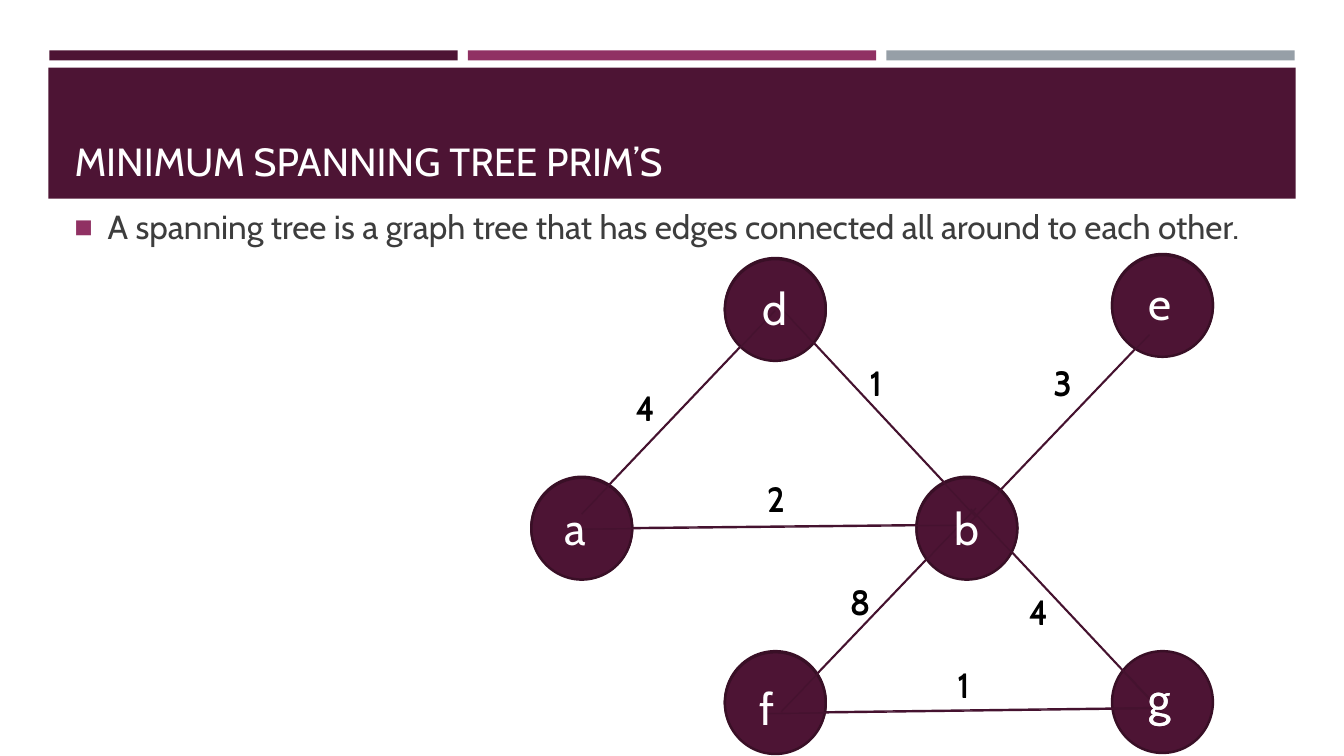
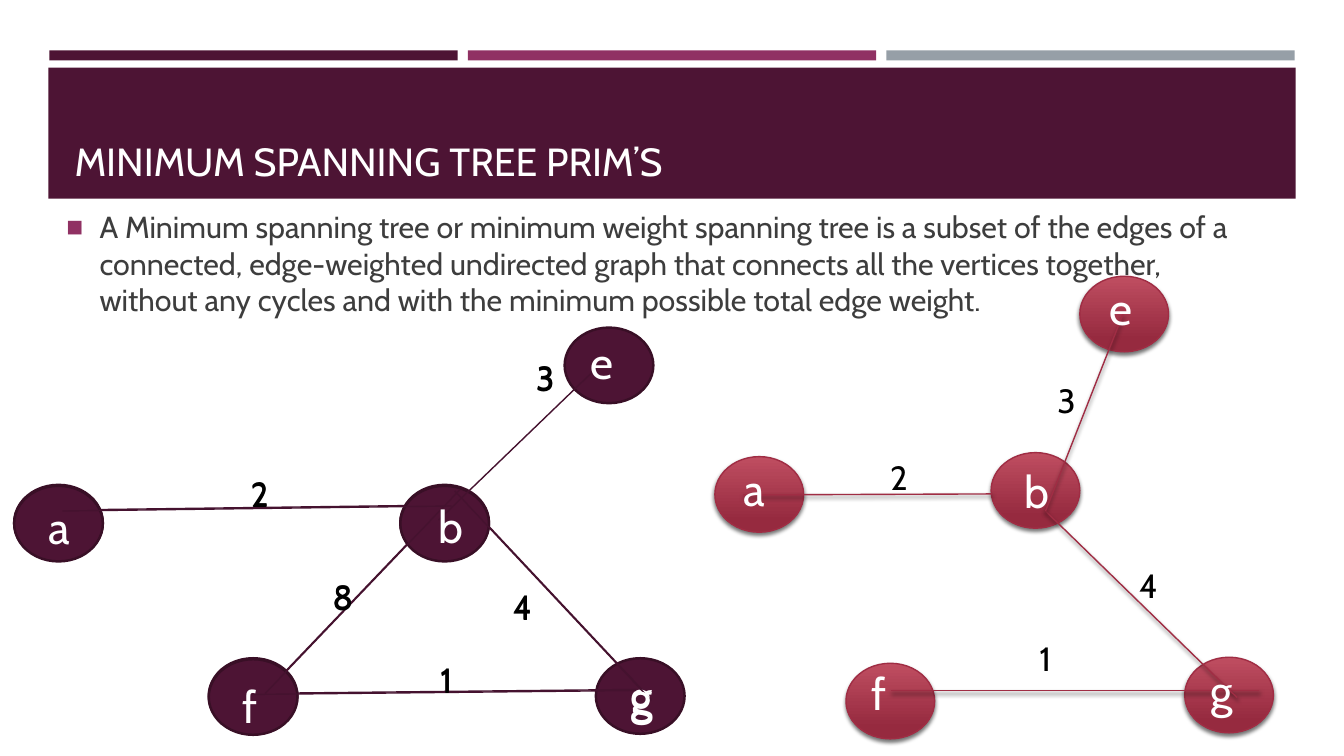
"""Build two slides that explain minimum spanning trees with weighted graphs."""
from collections import namedtuple
from lxml.etree import SubElement
from pptx import Presentation
from pptx.dml.color import RGBColor
from pptx.enum.shapes import MSO_CONNECTOR, MSO_SHAPE
from pptx.enum.text import MSO_ANCHOR, MSO_AUTO_SIZE, PP_ALIGN
from pptx.oxml.ns import qn
from pptx.util import Pt

PX = 9144
FONT = "Cabin"
PLUM, MAGENTA, GREY = "4D1434", "903163", "969FA7"
WHITE, BLACK, BODY_COLOR = "FFFFFF", "000000", "3D3D3D"
TITLE = "MINIMUM SPANNING TREE PRIM’S"
BULLET_INDENT = 33

Style = namedtuple("Style", "fill_top fill_bottom circle_line circle_line_width edge_line shadow")
Node = namedtuple("Node", "left top letter_left letter_top")
Edge = namedtuple("Edge", "x1 y1 x2 y2 weight weight_left weight_top")
Layer = namedtuple("Layer", "shift circles letters")
Graph = namedtuple("Graph", "style circle_size letter_size weight_size layers nodes edges")
Page = namedtuple("Page", "body_box body_size body_text graphs")

PLUM_STYLE = Style(PLUM, PLUM, "390F26", 1.75, "45122F", False)
RED_STYLE = Style("BF4E61", "962A3F", "A02D44", 1, "A02D44", True)

FULL_GRAPH = Graph(
    PLUM_STYLE, (100, 101), (65, 64), (63, 50),
    layers=[Layer(0, "abdefg", "abdefg"), Layer(1, "abdef", "abdefg")],
    nodes={
        "a": Node(527, 473, 550, 491),
        "b": Node(909, 473, 937, 491),
        "d": Node(719, 256, 746, 273),
        "e": Node(1103, 252, 1129, 268),
        "f": Node(719, 646, 743, 669),
        "g": Node(1103, 646, 1129, 660),
    },
    edges={
        "ad": Edge(577, 509, 769, 307, "4", 621, 379),
        "fb": Edge(775, 705, 968, 503, "8", 833, 571),
        "be": Edge(947, 533, 1140, 331, "3", 1035, 354),
        "db": Edge(773, 303, 968, 512, "1", 853, 354),
        "bg": Edge(963, 504, 1159, 713, "4", 1011, 581),
        "fg": Edge(757, 707, 1143, 702, "1", 940, 654),
        "ab": Edge(574, 524, 960, 520, "2", 751, 469),
    },
)
CYCLE_GRAPH = Graph(
    PLUM_STYLE, (88, 75), (57, 64), (56, 50),
    layers=[Layer(0, "abfg", "abfg"), Layer(1, "abef", "abefg")],
    nodes={
        "a": Node(14, 481, 38, 490),
        "b": Node(397, 481, 425, 489),
        "e": Node(560, 324, 576, 326),
        "f": Node(207, 653, 231, 667),
        "g": Node(591, 653, 616, 658),
    },
    edges={
        "fb": Edge(263, 687, 456, 485, "8", 320, 566),
        "be": Edge(435, 515, 598, 358, "3", 522, 349),
        "bg": Edge(451, 486, 646, 694, "4", 499, 576),
        "fg": Edge(245, 688, 631, 684, "1", 427, 649),
        "ab": Edge(62, 506, 448, 501, "2", 239, 464),
    },
)
TREE_GRAPH = Graph(
    RED_STYLE, (88, 75), (57, 64), (56, 50),
    layers=[Layer(0, "abefg", "abefg")],
    nodes={
        "a": Node(709, 453, 728, 453),
        "b": Node(983, 449, 1006, 455),
        "e": Node(1071, 274, 1091, 274),
        "f": Node(839, 658, 855, 656),
        "g": Node(1175, 652, 1191, 653),
    },
    edges={
        "ab": Edge(737, 491, 984, 490, "2", 873, 448),
        "fg": Edge(884, 685, 1249, 685, "1", 1021, 628),
        "gb": Edge(1227, 692, 1037, 507, "4", 1120, 556),
        "eb": Edge(1114, 311, 1037, 507, "3", 1039, 372),
    },
)
PAGES = [
    Page((64, 200, 1206, 60), 23.8,
         "A spanning tree is a graph tree that has edges connected all around to each other.",
         [FULL_GRAPH]),
    Page((56, 202, 1206, 120), 21.7,
         "A Minimum spanning tree or minimum weight spanning tree is a subset of the edges of a "
         "connected, edge-weighted undirected graph that connects all the vertices together, "
         "without any cycles and with the minimum possible total edge weight.",
         [CYCLE_GRAPH, TREE_GRAPH]),
]


def add_text(slide, box, text, size, color):
    """Add a wrapping text box and return its paragraph."""
    text_frame = slide.shapes.add_textbox(*[length * PX for length in box]).text_frame
    text_frame.word_wrap = True
    paragraph = text_frame.paragraphs[0]
    paragraph.text = text
    font = paragraph.runs[0].font
    font.name, font.size, font.color.rgb = FONT, Pt(size), RGBColor.from_string(color)
    return paragraph


def set_outline(shape, color, width, shadow):
    """Set the line of a shape or connector, with a soft shadow or none."""
    shape.line.color.rgb = RGBColor.from_string(color)
    shape.line.width = Pt(width)
    effects = SubElement(shape.element.spPr, qn("a:effectLst"))
    if shadow:
        outer_shadow = SubElement(effects, qn("a:outerShdw"), blurRad="38100", dist="25400",
                                  dir="5400000", rotWithShape="0")
        shadow_color = SubElement(outer_shadow, qn("a:srgbClr"), val=BLACK)
        SubElement(shadow_color, qn("a:alpha"), val="55000")


presentation = Presentation()
presentation.slide_width, presentation.slide_height = 1333 * PX, 750 * PX
layout = presentation.slide_layouts[5]
layout_title, *layout_footers = layout.placeholders
for footer in layout_footers:
    layout.shapes.element.remove(footer.element)
layout_title.left, layout_title.top = 64 * PX, 77 * PX
layout_title.width, layout_title.height = 1206 * PX, 111 * PX

slides = [presentation.slides.add_slide(layout) for _ in PAGES]

band_width, band_gap = 405, 10
bands = [((49 + column * (band_width + band_gap), 50, band_width, 10), color)
         for column, color in enumerate((PLUM, MAGENTA, GREY))]
bands.append(((48, 67, 1237, 130), PLUM))
for position, (box, color) in enumerate(bands, start=2):
    band = slides[0].shapes.add_shape(MSO_SHAPE.RECTANGLE, *[length * PX for length in box])
    band.fill.solid()
    band.fill.fore_color.rgb = RGBColor.from_string(color)
    band.line.fill.background()
    band.shadow.inherit = False
    band.element.nvSpPr.cNvPr.set("id", str(10 + position))
    layout.shapes.element.insert(position, band.element)

for slide, page in zip(slides, PAGES):
    title_frame = slide.shapes.title.text_frame
    title_frame.text = TITLE
    title_frame.vertical_anchor = MSO_ANCHOR.BOTTOM
    title_frame.auto_size = MSO_AUTO_SIZE.NONE
    title_paragraph = title_frame.paragraphs[0]
    title_paragraph.alignment = PP_ALIGN.LEFT
    title_font = title_paragraph.runs[0].font
    title_font.name, title_font.size = FONT, Pt(28)
    title_font.color.rgb = RGBColor.from_string(WHITE)

    body_paragraph = add_text(slide, page.body_box, page.body_text, page.body_size, BODY_COLOR)
    body_properties = body_paragraph._p.get_or_add_pPr()
    body_properties.set("marL", str(BULLET_INDENT * PX))
    body_properties.set("indent", str(-BULLET_INDENT * PX))
    bullet_color = SubElement(body_properties, qn("a:buClr"))
    SubElement(bullet_color, qn("a:srgbClr"), val=MAGENTA)
    SubElement(body_properties, qn("a:buSzPct"), val="92000")
    SubElement(body_properties, qn("a:buFont"), typeface="Arial")
    SubElement(body_properties, qn("a:buChar"), char="■")

    for graph in page.graphs:
        style = graph.style
        for layer in graph.layers:
            for name in layer.circles:
                node = graph.nodes[name]
                box = (node.left, node.top + layer.shift, *graph.circle_size)
                circle = slide.shapes.add_shape(MSO_SHAPE.OVAL, *[length * PX for length in box])
                if style.fill_top == style.fill_bottom:
                    circle.fill.solid()
                    circle.fill.fore_color.rgb = RGBColor.from_string(style.fill_top)
                else:
                    circle.fill.gradient()
                    circle.fill.gradient_angle = 270
                    top_stop, bottom_stop = circle.fill.gradient_stops
                    top_stop.color.rgb = RGBColor.from_string(style.fill_top)
                    bottom_stop.color.rgb = RGBColor.from_string(style.fill_bottom)
                    top_stop.position, bottom_stop.position = 0, 0.84
                set_outline(circle, style.circle_line, style.circle_line_width, style.shadow)

            for ends, edge in graph.edges.items():
                if set(ends) <= set(layer.letters):
                    points = (edge.x1, edge.y1 + layer.shift, edge.x2, edge.y2 + layer.shift)
                    connector = slide.shapes.add_connector(
                        MSO_CONNECTOR.STRAIGHT, *[length * PX for length in points])
                    set_outline(connector, style.edge_line, 1, style.shadow)

            for name in layer.letters:
                node = graph.nodes[name]
                box = (node.letter_left, node.letter_top + layer.shift, *graph.letter_size)
                add_text(slide, box, name, 32, WHITE)

            for edge in graph.edges.values():
                box = (edge.weight_left, edge.weight_top + layer.shift, *graph.weight_size)
                add_text(slide, box, edge.weight, 24, BLACK)

presentation.save("out.pptx")
